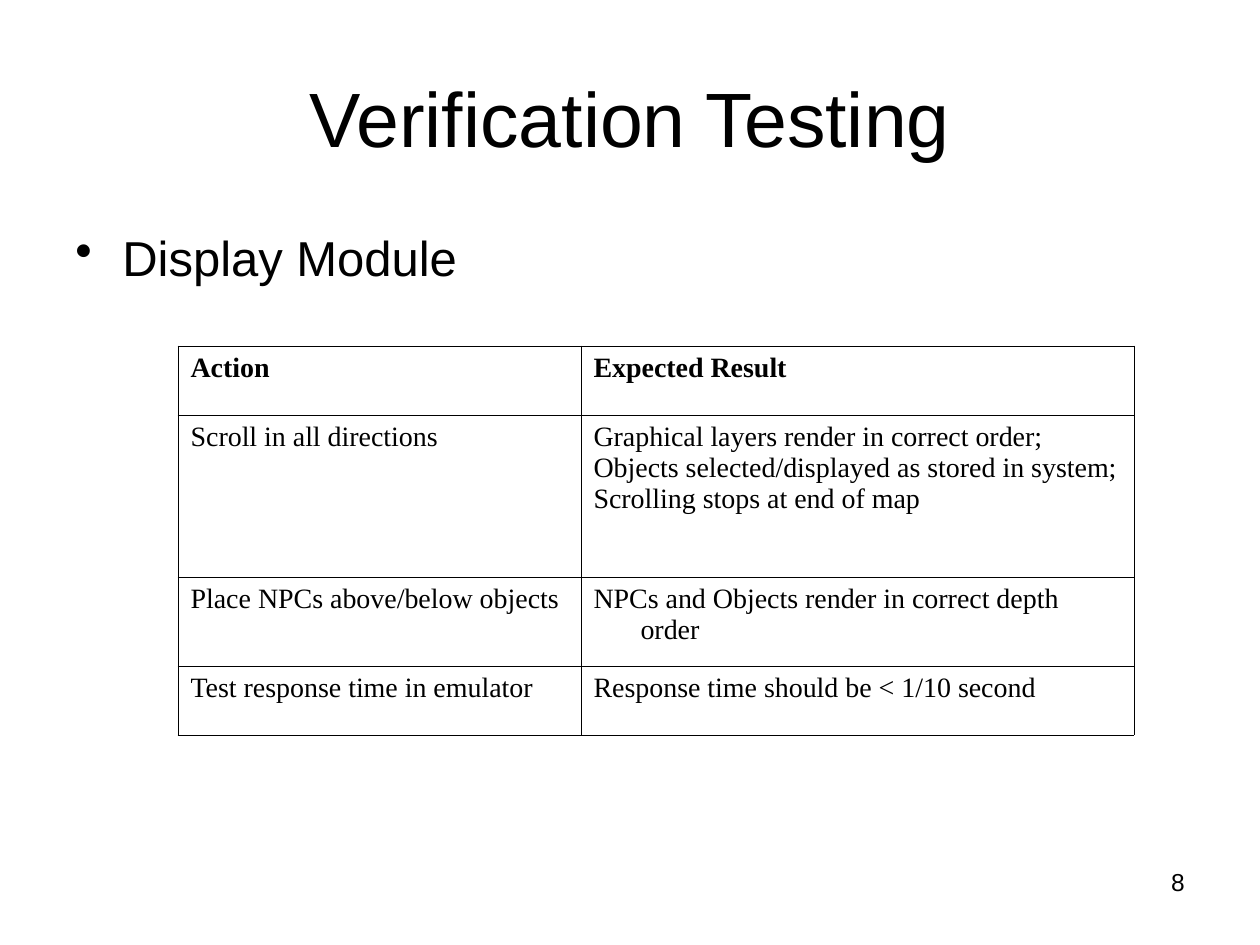
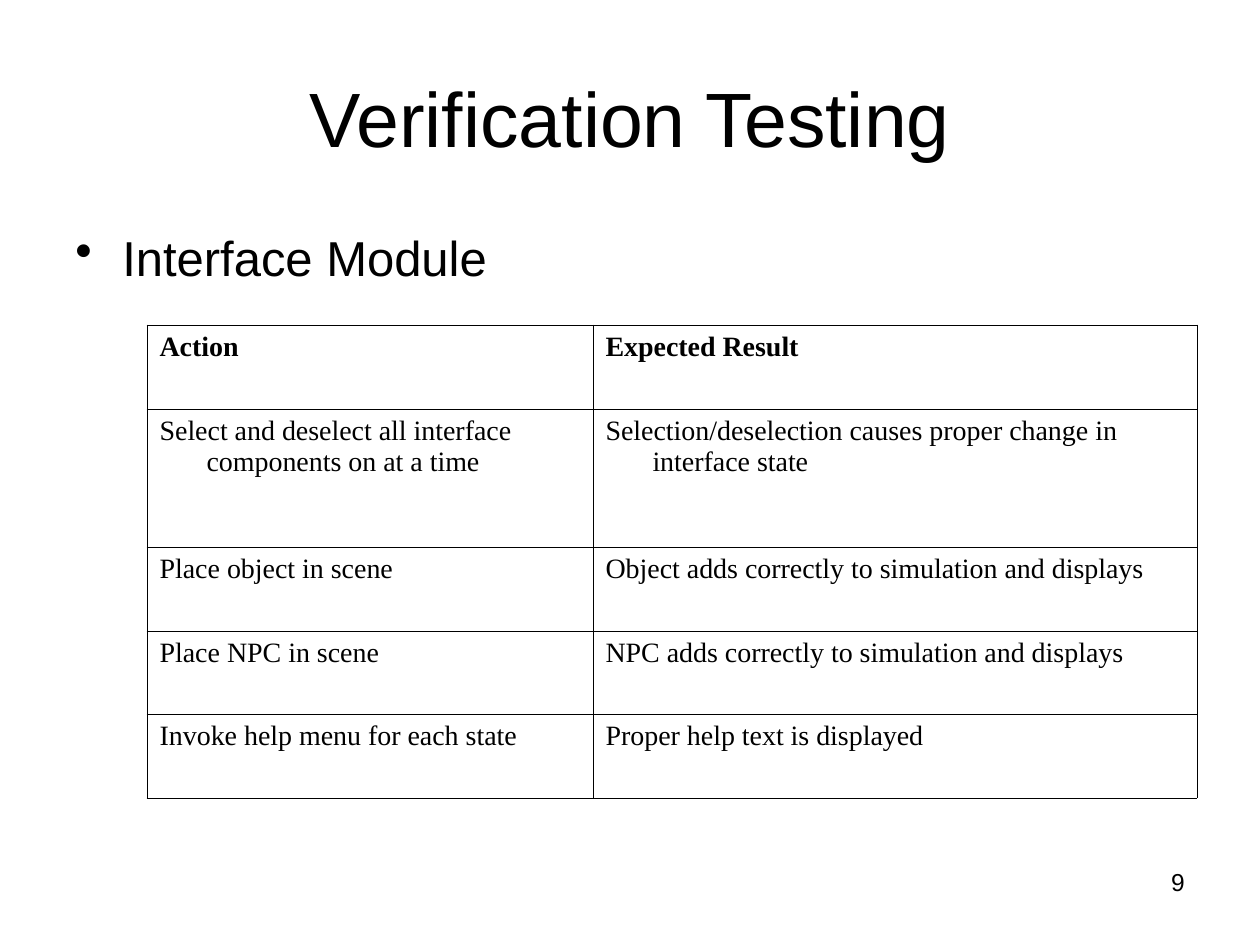
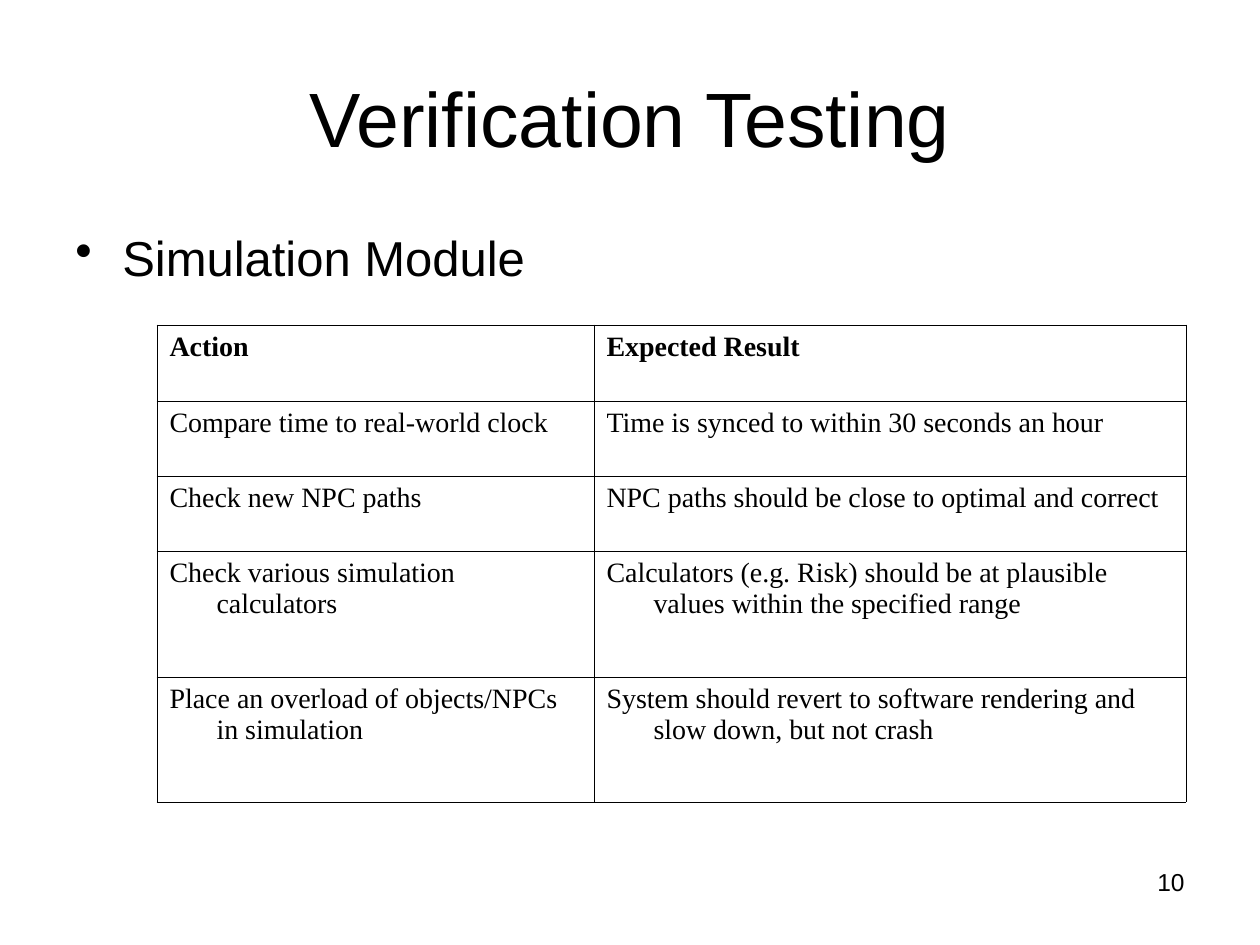
import pptx
import pptx.util
import pptx.dml.color
import pptx.enum.text
import pptx.oxml
import pptx.oxml.ns

TITLE = "Verification Testing"
HEAD = ("Action", "Expected Result")
FIRST = 8
PAGES = [
    dict(topic="Display Module", left=178, top=346, cols=(403, 553),
         rows=(69, 162, 89, 69), cells=[
        ("Scroll in all directions",
         "Graphical layers render in correct order;\n"
         "Objects selected/displayed as stored in system;\n"
         "Scrolling stops at end of map"),
        ("Place NPCs above/below objects",
         "NPCs and Objects render in correct depth order"),
        ("Test response time in emulator",
         "Response time should be < 1/10 second"),
    ]),
    dict(topic="Interface Module", left=147, top=325, cols=(446, 604),
         rows=(84, 138, 84, 83, 84), cells=[
        ("Select and deselect all interface components on at a time",
         "Selection/deselection causes proper change in interface state"),
        ("Place object in scene",
         "Object adds correctly to simulation and displays"),
        ("Place NPC in scene",
         "NPC adds correctly to simulation and displays"),
        ("Invoke help menu for each state",
         "Proper help text is displayed"),
    ]),
    dict(topic="Simulation Module", left=157, top=325, cols=(437, 592),
         rows=(76, 75, 75, 126, 125), cells=[
        ("Compare time to real-world clock",
         "Time is synced to within 30 seconds an hour"),
        ("Check new NPC paths",
         "NPC paths should be close to optimal and correct"),
        ("Check various simulation calculators",
         "Calculators (e.g. Risk) should be at plausible values "
         "within the specified range"),
        ("Place an overload of objects/NPCs in simulation",
         "System should revert to software rendering and slow down, "
         "but not crash"),
    ]),
]

INK = "000000"
PAPER = "FFFFFF"
SANS, SERIF = "Arial", "Times New Roman"
HANG = 47
RULE = 0.45
TITLE_BOX = (63, 38, 1134, 158)
TOPIC_BOX = (63, 221, 557, 624)
PAGE_BOX = (903, 861, 294, 66)
ALIGN = pptx.enum.text.PP_ALIGN
ANCHOR = pptx.enum.text.MSO_ANCHOR


def px(n):
    return pptx.util.Emu(n * 914400 // 126)


def color(code):
    return pptx.dml.color.RGBColor.from_string(code)


def xml(body):
    space = pptx.oxml.ns.nsdecls("a")
    return pptx.oxml.parse_xml(body.replace(">", f" {space}>", 1))


def write(frame, text, font=SANS, size=16, bold=False, align=ALIGN.LEFT,
          anchor=ANCHOR.TOP, hang=0, before=0, bullet=None):
    frame.word_wrap = True
    frame.vertical_anchor = anchor
    frame.text = text
    for para in frame.paragraphs:
        para.alignment = align
        para.space_before = pptx.util.Pt(before)
        para.font.name = font
        para.font.size = pptx.util.Pt(size)
        props = para._p.get_or_add_pPr()
        props.set("marL", str(px(hang)))
        props.set("indent", str(-px(hang)))
        if bullet:
            mark = xml(f'<a:buChar char="{bullet}"></a:buChar>')
            props.insert_element_before(mark, "a:tabLst", "a:defRPr")
        for run in para.runs:
            run.font.name = font
            run.font.size = pptx.util.Pt(size)
            run.font.bold = bold
            run.font.color.rgb = color(INK)


def label(slide, box, text, **form):
    shape = slide.shapes.add_textbox(*map(px, box))
    write(shape.text_frame, text, **form)


def border(cell):
    cell.fill.background()
    props = cell._tc.get_or_add_tcPr()
    for spot, side in enumerate(("lnL", "lnR", "lnT", "lnB")):
        props.insert(spot, xml(
            f'<a:{side} w="{pptx.util.Pt(RULE)}"><a:solidFill>'
            f'<a:srgbClr val="{INK}"/></a:solidFill></a:{side}>'))


def grid(slide, page):
    cols, rows = page["cols"], page["rows"]
    box = (page["left"], page["top"], sum(cols), sum(rows))
    table = slide.shapes.add_table(len(rows), len(cols), *map(px, box)).table
    table.first_row = table.horz_banding = False
    for col, wide in zip(table.columns, cols):
        col.width = px(wide)
    for row, high in zip(table.rows, rows):
        row.height = px(high)
    for r, line in enumerate([HEAD] + page["cells"]):
        for c, text in enumerate(line):
            cell = table.cell(r, c)
            border(cell)
            cell.vertical_anchor = ANCHOR.TOP
            write(cell.text_frame, text, font=SERIF, bold=r == 0, hang=HANG)


deck = pptx.Presentation()
deck.slide_width, deck.slide_height = px(1260), px(945)
for number, page in enumerate(PAGES, FIRST):
    slide = deck.slides.add_slide(deck.slide_layouts[6])
    slide.background.fill.solid()
    slide.background.fill.fore_color.rgb = color(PAPER)
    label(slide, TITLE_BOX, TITLE, size=44, align=ALIGN.CENTER,
          anchor=ANCHOR.MIDDLE)
    label(slide, TOPIC_BOX, page["topic"], size=28, hang=HANG, before=7,
          bullet="•")
    grid(slide, page)
    label(slide, PAGE_BOX, str(number), size=14, align=ALIGN.RIGHT)
deck.save("out.pptx")
